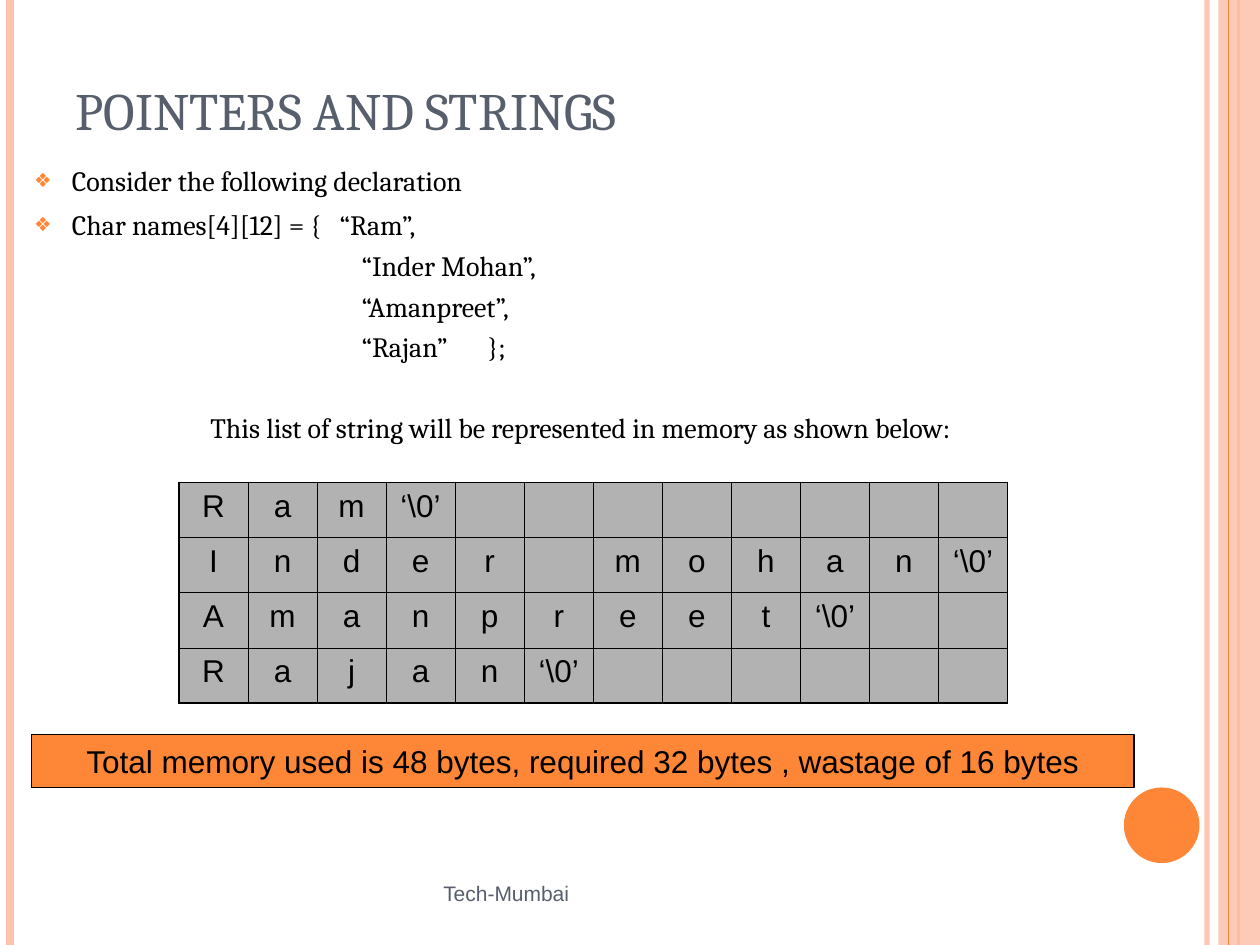
from lxml.etree import SubElement
from pptx import Presentation
from pptx.dml.color import RGBColor
from pptx.enum.shapes import MSO_CONNECTOR as CONN, MSO_SHAPE as SHAPE
from pptx.enum.text import MSO_ANCHOR as ANCHOR, MSO_AUTO_SIZE as AUTO, PP_ALIGN as ALIGN
from pptx.oxml.ns import qn
from pptx.util import Inches, Pt

BLACK = RGBColor(0x00, 0x00, 0x00)
SLATE = RGBColor(0x57, 0x5F, 0x6D)
ORANGE = RGBColor(0xFE, 0x86, 0x37)
PEACH = RGBColor(0xFE, 0xC3, 0xAE)
GREY = RGBColor(0xB2, 0xB2, 0xB2)

END = "‘\\0’"
COLUMNS = 12
MEMORY = [
    [*"Ram", END],
    [*"Inder", "", *"mohan", END],
    [*"Amanpreet", END],
    [*"Rajan", END],
]
# text, level, left indent, first-line indent, space before, bullet
BODY = [
    ("Consider the following declaration", 0, 0.3, -0.3, 0, True),
    ("Char names[4][12] = {   “Ram”,", 0, 0.3, -0.3, 6, True),
    ("“Inder Mohan”,", 4, 2.6, 0, 4, False),
    ("“Amanpreet”,", 4, 2.6, 0, 4, False),
    ("“Rajan”\t};", 4, 2.6, 0, 4, False),
    ("This list of string will be represented in memory as shown below:", 4, 1.6, -0.2, 27, False),
]


def place(s, left, top, width, height):
    """Move and size a shape in inches."""
    s.left, s.top, s.width, s.height = map(Inches, (left, top, width, height))


def add_run(p, text, size, font, color):
    """Add one formatted run to a paragraph."""
    r = p.add_run()
    r.text = text
    r.font.size, r.font.name = Pt(size), font
    r.font.color.rgb = color


def set_alpha(fill, percent):
    """Make a solid fill partly transparent."""
    clr = fill._xPr.find(qn("a:solidFill"))[0]
    SubElement(clr, qn("a:alpha"), val=str(percent * 1000))


def add_stripe(slide, x, color, width, alpha=100):
    """Draw a full-height vertical line."""
    s = slide.shapes.add_connector(CONN.STRAIGHT, Inches(x), 0, Inches(x), Inches(7.5))
    s.line.color.rgb = color
    s.line.width = Pt(width)
    if alpha < 100:
        clr = s.line._ln.find(qn("a:solidFill"))[0]
        SubElement(clr, qn("a:alpha"), val=str(alpha * 1000))
    SubElement(s._element.spPr, qn("a:effectLst"))


def add_block(slide, kind, box, color):
    """Draw a filled shape without outline or shadow."""
    s = slide.shapes.add_shape(kind, *map(Inches, box))
    s.shadow.inherit = False
    s.fill.solid()
    s.fill.fore_color.rgb = color
    s.line.fill.background()
    return s


def add_frame(slide):
    """Draw the border stripes, side band and disc."""
    add_stripe(slide, 9.58, PEACH, 3, 93)
    add_stripe(slide, 0.08, PEACH, 4.5)
    add_stripe(slide, 9.83, ORANGE, 1.5)
    band = add_block(slide, SHAPE.RECTANGLE, (9.67, 0, 0.33, 7.5), PEACH)
    set_alpha(band.fill, 87)
    add_stripe(slide, 9.75, ORANGE, 0.75)
    add_block(slide, SHAPE.OVAL, (8.92, 6.25, 0.6, 0.6), ORANGE)


def fill_title(s):
    """Format the title placeholder."""
    place(s, 0.5, 0.3, 9, 0.87)
    tf = s.text_frame
    tf.auto_size, tf.vertical_anchor = AUTO.NONE, ANCHOR.BOTTOM
    p = tf.paragraphs[0]
    p.alignment = ALIGN.LEFT
    add_run(p, "POINTERS AND STRINGS", 30, "Cambria", SLATE)


def set_bullet(p, left, first, bullet):
    """Set the indents and the bullet of a paragraph."""
    pPr = p._p.get_or_add_pPr()
    pPr.set("marL", str(Inches(left)))
    pPr.set("indent", str(Inches(first)))
    if bullet:
        clr = SubElement(pPr, qn("a:buClr"))
        SubElement(clr, qn("a:srgbClr"), val=str(ORANGE))
        SubElement(pPr, qn("a:buSzPct"), val="70000")
        SubElement(pPr, qn("a:buChar"), char="❖")
    else:
        SubElement(pPr, qn("a:buNone"))


def fill_body(s):
    """Write the declaration into the body placeholder."""
    place(s, 0.17, 1.25, 9.08, 5.58)
    tf = s.text_frame
    tf.auto_size = AUTO.NONE
    for i, (text, level, left, first, before, bullet) in enumerate(BODY):
        p = tf.add_paragraph() if i else tf.paragraphs[0]
        p.level = level
        set_bullet(p, left, first, bullet)
        p.space_before = Pt(before)
        add_run(p, text, 16, "Cambria", BLACK)


def set_borders(cell, widths):
    """Give a cell black borders of the given widths."""
    tcPr = cell._tc.get_or_add_tcPr()
    for side, width in widths.items():
        ln = SubElement(tcPr, qn(f"a:ln{side}"), w=str(Pt(width)))
        fill = SubElement(ln, qn("a:solidFill"))
        SubElement(fill, qn("a:srgbClr"), val=str(BLACK))


def add_memory_table(slide):
    """Draw the character array, one string a row."""
    rows = len(MEMORY)
    box = map(Inches, (1.42, 3.83, 6.58, 1.75))
    table = slide.shapes.add_table(rows, COLUMNS, *box).table
    table.first_row = table.horz_banding = False
    for i, chars in enumerate(MEMORY):
        for j in range(COLUMNS):
            cell = table.cell(i, j)
            edges = {"L": j == 0, "R": j == COLUMNS - 1, "T": i == 0, "B": i == rows - 1}
            set_borders(cell, {k: 1.08 if outer else 0.45 for k, outer in edges.items()})
            cell.fill.solid()
            cell.fill.fore_color.rgb = GREY
            if j < len(chars) and chars[j]:
                p = cell.text_frame.paragraphs[0]
                p.alignment = ALIGN.CENTER
                add_run(p, chars[j], 18, "Arial", BLACK)


def add_footer(slide):
    """Add the footer text."""
    tf = slide.shapes.add_textbox(*map(Inches, (3.42, 6.83, 3.17, 0.52))).text_frame
    tf.word_wrap, tf.vertical_anchor = True, ANCHOR.MIDDLE
    add_run(tf.paragraphs[0], "Tech-Mumbai", 12, "Arial", SLATE)


def add_summary(slide):
    """Add the memory total bar."""
    s = add_block(slide, SHAPE.RECTANGLE, (0.25, 5.83, 8.75, 0.42), ORANGE)
    s.line.color.rgb = BLACK
    s.line.width = Pt(0.75)
    tf = s.text_frame
    tf.word_wrap, tf.vertical_anchor = False, ANCHOR.MIDDLE
    p = tf.paragraphs[0]
    p.alignment = ALIGN.CENTER
    text = "Total memory used is 48 bytes, required 32 bytes , wastage of 16 bytes"
    add_run(p, text, 18, "Arial", BLACK)


def main():
    """Build and save the slide."""
    prs = Presentation()
    prs.slide_width, prs.slide_height = Inches(10), Inches(7.5)
    slide = prs.slides.add_slide(prs.slide_layouts[1])
    title, body = slide.placeholders
    add_frame(slide)
    for s in (title, body):
        slide.shapes._spTree.append(s._element)
    fill_title(title)
    fill_body(body)
    add_memory_table(slide)
    add_footer(slide)
    add_summary(slide)
    prs.save("out.pptx")


if __name__ == "__main__":
    main()
